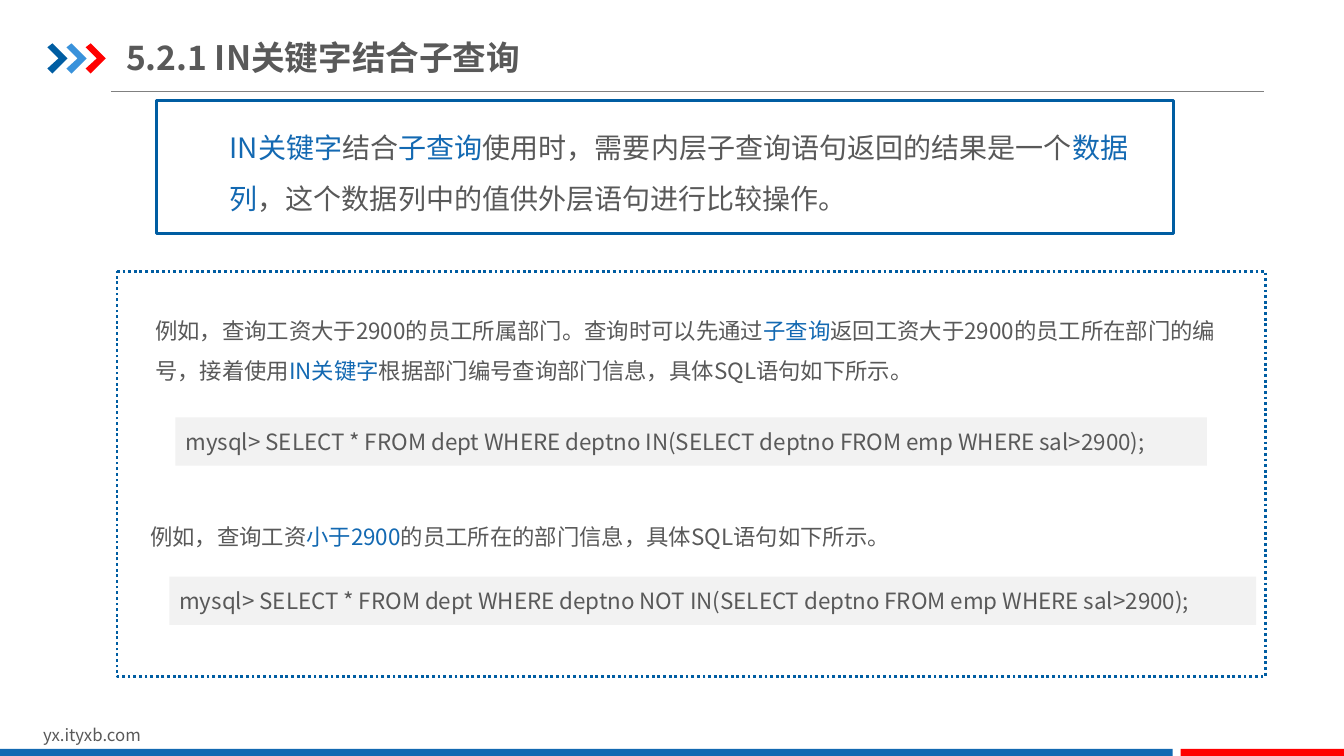
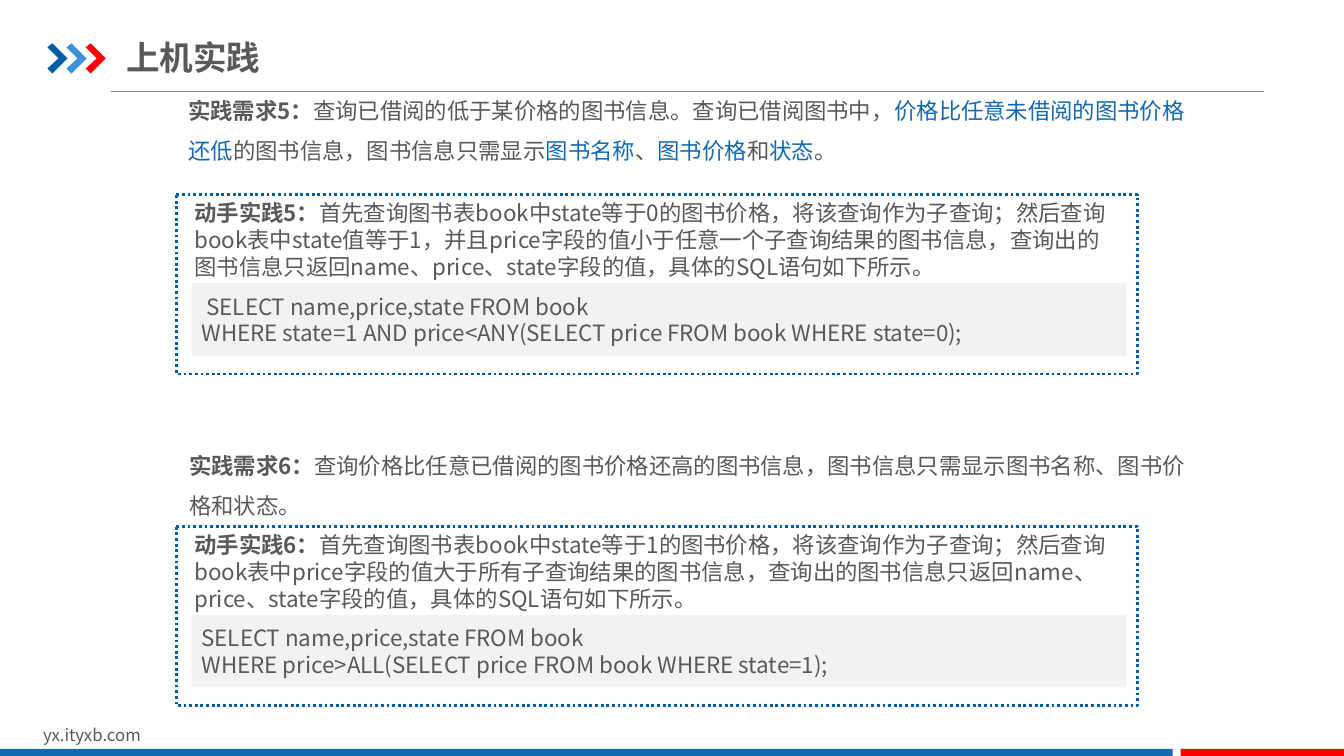
from lxml.etree import SubElement
from pptx import Presentation
from pptx.dml.color import RGBColor
from pptx.enum.dml import MSO_LINE
from pptx.enum.shapes import MSO_CONNECTOR, MSO_SHAPE
from pptx.enum.text import MSO_ANCHOR, MSO_AUTO_SIZE, PP_ALIGN
from pptx.oxml.ns import qn
from pptx.util import Inches, Pt

FONT = "Noto Sans CJK SC"
INK = RGBColor(0x59, 0x59, 0x59)
BLUE = RGBColor(0x13, 0x69, 0xB2)
NAVY = RGBColor(0x00, 0x5D, 0xA2)
SKY = RGBColor(0x39, 0x92, 0xDB)
RED = RGBColor(0xFF, 0x00, 0x00)
GREY = RGBColor(0x80, 0x80, 0x80)
PALE = RGBColor(0xF2, 0xF2, 0xF2)
WHITE = RGBColor(0xFF, 0xFF, 0xFF)

SITE = "yx.ityxb.com"
BANDS = [(0, 11.63, BLUE), (11.71, 1.62, RED)]
CHEVRON = [(0, 0.04), (0.05, 0), (0.2, 0.15), (0.05, 0.3), (0, 0.25), (0.11, 0.15)]

# Text between bars is blue; boxes are left, top, width, height in inches.
QUERY_TITLE = "5.2.1 IN关键字结合子查询"
RULE = "|IN关键字|结合|子查询|使用时，需要内层子查询语句返回的结果是一个|数据列|，这个数据列中的值供外层语句进行比较操作。"
EXAMPLES = [
    ((1.44, 2.96, 10.86, 0.91),
     "例如，查询工资大于2900的员工所属部门。查询时可以先通过|子查询|返回工资大于2900的员工所在部门的编号，"
     "接着使用|IN关键字|根据部门编号查询部门信息，具体SQL语句如下所示。",
     (1.74, 4.14, 10.23, 0.48),
     "mysql> SELECT * FROM dept WHERE deptno IN(SELECT deptno FROM emp WHERE sal>2900);"),
    ((1.39, 5.01, 10.25, 0.5),
     "例如，查询工资|小于2900|的员工所在的部门信息，具体SQL语句如下所示。",
     (1.68, 5.72, 10.78, 0.48),
     "mysql> SELECT * FROM dept WHERE deptno NOT IN(SELECT deptno FROM emp WHERE sal>2900);"),
]

LAB_TITLE = "上机实践"
LABS = [
    {"no": 5, "left": 1.77, "top": 0.78, "frame": 1.93,
     "need": "查询已借阅的低于某价格的图书信息。查询已借阅图书中，|价格比任意未借阅的图书价格还低|的图书信息，"
             "图书信息只需显示|图书名称|、|图书价格|和|状态|。",
     "steps": "首先查询图书表book中state等于0的图书价格，将该查询作为子查询；然后查询book表中state值等于1，"
              "并且price字段的值小于任意一个子查询结果的图书信息，"
              "查询出的图书信息只返回name、price、state字段的值，具体的SQL语句如下所示。",
     "code": " SELECT name,price,state FROM book\n"
             "WHERE state=1 AND price<ANY(SELECT price FROM book WHERE state=0);"},
    {"no": 6, "left": 1.78, "top": 4.3, "frame": 5.22,
     "need": "查询价格比任意已借阅的图书价格还高的图书信息，图书信息只需显示图书名称、图书价格和状态。",
     "steps": "首先查询图书表book中state等于1的图书价格，将该查询作为子查询；"
              "然后查询book表中price字段的值大于所有子查询结果的图书信息，"
              "查询出的图书信息只返回name、price、state字段的值，具体的SQL语句如下所示。",
     "code": "SELECT name,price,state FROM book\n"
             "WHERE price>ALL(SELECT price FROM book WHERE state=1);"},
]


def style(run, size, color=INK, bold=False):
    font = run.font
    font.name, font.size, font.bold = FONT, Pt(size), bold
    font.color.rgb = color
    SubElement(run._r.get_or_add_rPr(), qn("a:ea"), typeface=FONT)


def paint(shape, fill):
    shape.shadow.inherit = False
    shape.fill.solid()
    shape.fill.fore_color.rgb = fill
    shape.line.fill.background()
    return shape


def add_rect(slide, box, fill, kind=MSO_SHAPE.RECTANGLE):
    return paint(slide.shapes.add_shape(kind, *map(Inches, box)), fill)


def add_frame(slide, box, dotted=True):
    frame = add_rect(slide, box, WHITE, MSO_SHAPE.FLOWCHART_PROCESS)
    frame.line.color.rgb = NAVY
    frame.line.width = Pt(2)
    if dotted:
        frame.line.dash_style = MSO_LINE.ROUND_DOT


def add_text(slide, box, text, lead="", size=16, spacing=None):
    """Add a text box with a bold lead and blue text between bars."""
    frame = slide.shapes.add_textbox(*map(Inches, box)).text_frame
    frame.word_wrap = True
    para = frame.paragraphs[0]
    if spacing:
        para.line_spacing = spacing
    parts = [(lead, INK, True)]
    parts += [(part, BLUE if i % 2 else INK, False) for i, part in enumerate(text.split("|"))]
    for part, color, bold in parts:
        if part:
            run = para.add_run()
            run.text = part
            style(run, size, color, bold)


def add_code(slide, box, code):
    frame = add_rect(slide, box, PALE).text_frame
    frame.word_wrap = True
    frame.vertical_anchor = MSO_ANCHOR.MIDDLE
    frame.text = code
    for para in frame.paragraphs:
        para.alignment = PP_ALIGN.LEFT
        style(para.runs[0], 16)


def set_title(shape, text):
    shape.left, shape.top, shape.width, shape.height = map(Inches, (1.25, 0.29, 8, 0.55))
    frame = shape.text_frame
    frame.text = text
    frame.auto_size = MSO_AUTO_SIZE.NONE
    frame.vertical_anchor = MSO_ANCHOR.MIDDLE
    frame.margin_left = frame.margin_right = 0
    para = frame.paragraphs[0]
    para.alignment = PP_ALIGN.LEFT
    style(para.runs[0], 24, bold=True)


def add_slide(deck, title):
    """Add a slide with the title, chevrons, rule and footer all slides share."""
    slide = deck.slides.add_slide(deck.slide_layouts[5])
    set_title(slide.shapes.title, title)
    rule = slide.shapes.add_connector(
        MSO_CONNECTOR.STRAIGHT, *map(Inches, (1.1, 0.91, 12.54, 0.91)))
    rule.line.color.rgb = GREY
    rule.line.width = Pt(0.75)
    SubElement(rule._element.spPr, qn("a:effectLst"))
    for i, color in enumerate((NAVY, SKY, RED)):
        spots = [(Inches(0.47 + 0.19 * i + x), Inches(0.43 + y)) for x, y in CHEVRON]
        pen = slide.shapes.build_freeform(*spots[0])
        pen.add_line_segments(spots[1:], close=True)
        paint(pen.convert_to_shape(), color)
    add_text(slide, (0.33, 7.14, 3.18, 0.3), SITE, size=12)
    for left, width, color in BANDS:
        add_rect(slide, (left, 7.43, width, 0.07), color)
    return slide


def add_query(deck):
    slide = add_slide(deck, QUERY_TITLE)
    add_frame(slide, (1.55, 1, 10.09, 1.32), dotted=False)
    add_text(slide, (2.18, 1.08, 9.21, 1.11), RULE, size=20, spacing=1.5)
    add_frame(slide, (1.16, 2.69, 11.39, 4.02))
    for box, text, area, code in EXAMPLES:
        add_text(slide, box, text, spacing=1.5)
        add_code(slide, area, code)


def add_labs(deck):
    slide = add_slide(deck, LAB_TITLE)
    for lab in LABS:
        top = lab["frame"]
        add_text(slide, (lab["left"], lab["top"], 10.23, 0.91), lab["need"],
                 f"实践需求{lab['no']}：", spacing=1.5)
        add_frame(slide, (1.75, top, 9.53, 1.78))
        add_text(slide, (1.83, top, 9.32, 0.91), lab["steps"], f"动手实践{lab['no']}：")
        add_code(slide, (1.9, top + 0.88, 9.27, 0.72), lab["code"])


def main():
    deck = Presentation()
    deck.slide_width, deck.slide_height = Inches(13.33), Inches(7.5)
    add_query(deck)
    add_labs(deck)
    deck.save("out.pptx")


if __name__ == "__main__":
    main()
